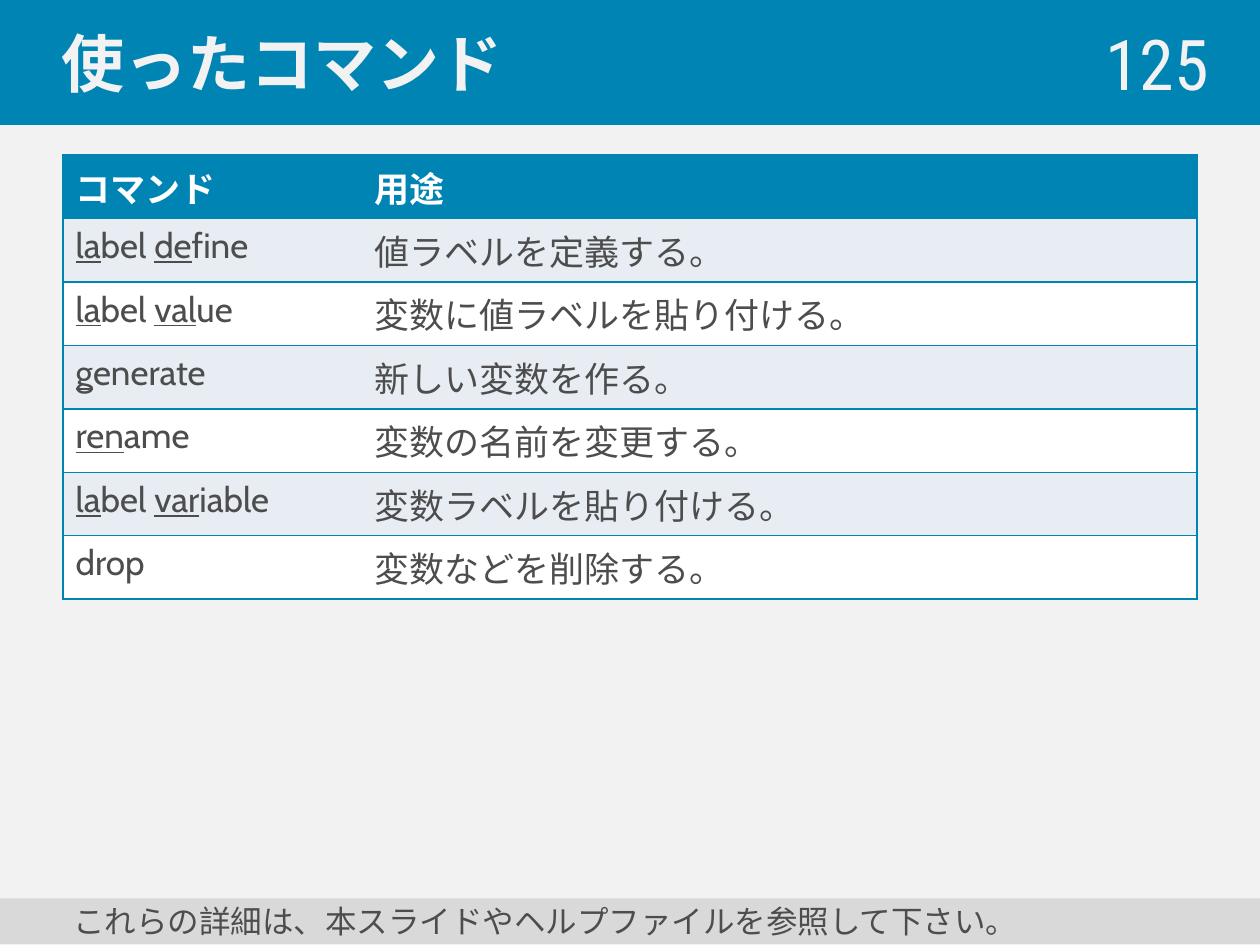
from pptx import Presentation
from pptx.dml.color import RGBColor
from pptx.enum.shapes import MSO_SHAPE as Shape
from pptx.enum.text import MSO_ANCHOR as Anchor, PP_ALIGN as Align
from pptx.oxml.ns import qn
from pptx.util import Pt
from lxml.etree import SubElement

COLORS = {
    "blue": "0084B4",
    "paper": "F2F2F2",
    "white": "FFFFFF",
    "band": "E7EDF2",
    "footer": "D9D9D9",
    "ink": "4D4D4D",
}
FORMATS = {
    "title": {"name": "Lato", "size": Pt(36), "bold": True, "color": "paper"},
    "number": {"name": "Roboto Condensed", "size": Pt(40), "color": "paper"},
    "header": {"name": "Cabin", "size": Pt(20), "bold": True, "color": "white"},
    "body": {"name": "Cabin", "size": Pt(20), "bold": False, "color": "ink"},
    "footer": {"name": "Cabin", "size": Pt(18), "color": "ink"},
}
NO_STYLE = "{2D5ABB26-0587-4C30-8999-92F81FD0307C}"

# Underscores enclose the underlined abbreviation of each command
COMMANDS = [
    ("コマンド", "用途"),
    ("_la_bel _de_fine", "値ラベルを定義する。"),
    ("_la_bel _val_ue", "変数に値ラベルを貼り付ける。"),
    ("_g_enerate", "新しい変数を作る。"),
    ("_ren_ame", "変数の名前を変更する。"),
    ("_la_bel _var_iable", "変数ラベルを貼り付ける。"),
    ("drop", "変数などを削除する。"),
]


def rgb(name):
    return RGBColor.from_string(COLORS[name])


def write(para, text, style):
    for index, part in enumerate(text.split("_")):
        if not part:
            continue
        span = para.add_run()
        span.text = part
        for key, value in FORMATS[style].items():
            if key == "color":
                span.font.color.rgb = rgb(value)
            else:
                setattr(span.font, key, value)
        if index % 2:
            span.font.underline = True


def add_bar(page, box, text, style, fill, indent):
    bar = page.shapes.add_shape(Shape.RECTANGLE, *map(Pt, box))
    bar.shadow.inherit = False
    bar.fill.solid()
    bar.fill.fore_color.rgb = rgb(fill)
    bar.line.fill.background()
    frame = bar.text_frame
    frame.word_wrap = True
    frame.vertical_anchor = Anchor.MIDDLE
    frame.margin_left = Pt(indent)
    para = frame.paragraphs[0]
    para.alignment = Align.LEFT
    write(para, text, style)
    return bar


def add_title(page, box, text):
    bar = add_bar(page, box, text, "title", "blue", 35.3)
    bar.line.color.rgb = rgb("blue")
    bar.line.width = Pt(1.5)


def add_page_number(page, box, text):
    frame = page.shapes.add_textbox(*map(Pt, box)).text_frame
    frame.word_wrap = True
    frame.vertical_anchor = Anchor.MIDDLE
    para = frame.paragraphs[0]
    para.alignment = Align.RIGHT
    write(para, text, "number")


def add_borders(cell, sides):
    props = cell._tc.get_or_add_tcPr()
    for side in sides:
        line = SubElement(props, qn(f"a:ln{side}"), w=str(Pt(1)))
        fill = SubElement(line, qn("a:solidFill"))
        SubElement(fill, qn("a:srgbClr"), val=COLORS["blue"])


def add_command_table(page, box, rows, widths, heights):
    frame = page.shapes.add_table(len(rows), len(widths), *map(Pt, box))
    table = frame.table
    table._tbl.tblPr.find(qn("a:tableStyleId")).text = NO_STYLE
    for column, width in zip(table.columns, widths):
        column.width = Pt(width)
    for r, texts in enumerate(rows):
        table.rows[r].height = Pt(heights[min(r, 1)])
        fill = "blue" if r == 0 else ("white", "band")[r % 2]
        for c, text in enumerate(texts):
            cell = table.cell(r, c)
            # Only the outer edges and the row rules are drawn
            add_borders(cell, ("LTB", "RTB")[c])
            cell.fill.solid()
            cell.fill.fore_color.rgb = rgb(fill)
            write(cell.text_frame.paragraphs[0], text, "body" if r else "header")


def main():
    deck = Presentation()
    deck.slide_width, deck.slide_height = Pt(720), Pt(540)
    page = deck.slides.add_slide(deck.slide_layouts[6])
    page.background.fill.solid()
    page.background.fill.fore_color.rgb = rgb("paper")

    # Heading band
    add_title(page, (0, 0, 720, 70.6), "使ったコマンド")

    # Commands and their uses
    add_command_table(page, (36, 88.6, 648, 208.8), COMMANDS,
                      widths=(170.6, 477.4), heights=(31.7, 29.5))

    # Slide number on the band
    add_page_number(page, (558.7, 13.7, 139, 43.9), "125")

    # Closing note
    add_bar(page, (0, 513.4, 720, 26),
            "これらの詳細は、本スライドやヘルプファイルを参照して下さい。",
            "footer", "footer", 41.8)

    deck.save("out.pptx")


if __name__ == "__main__":
    main()
